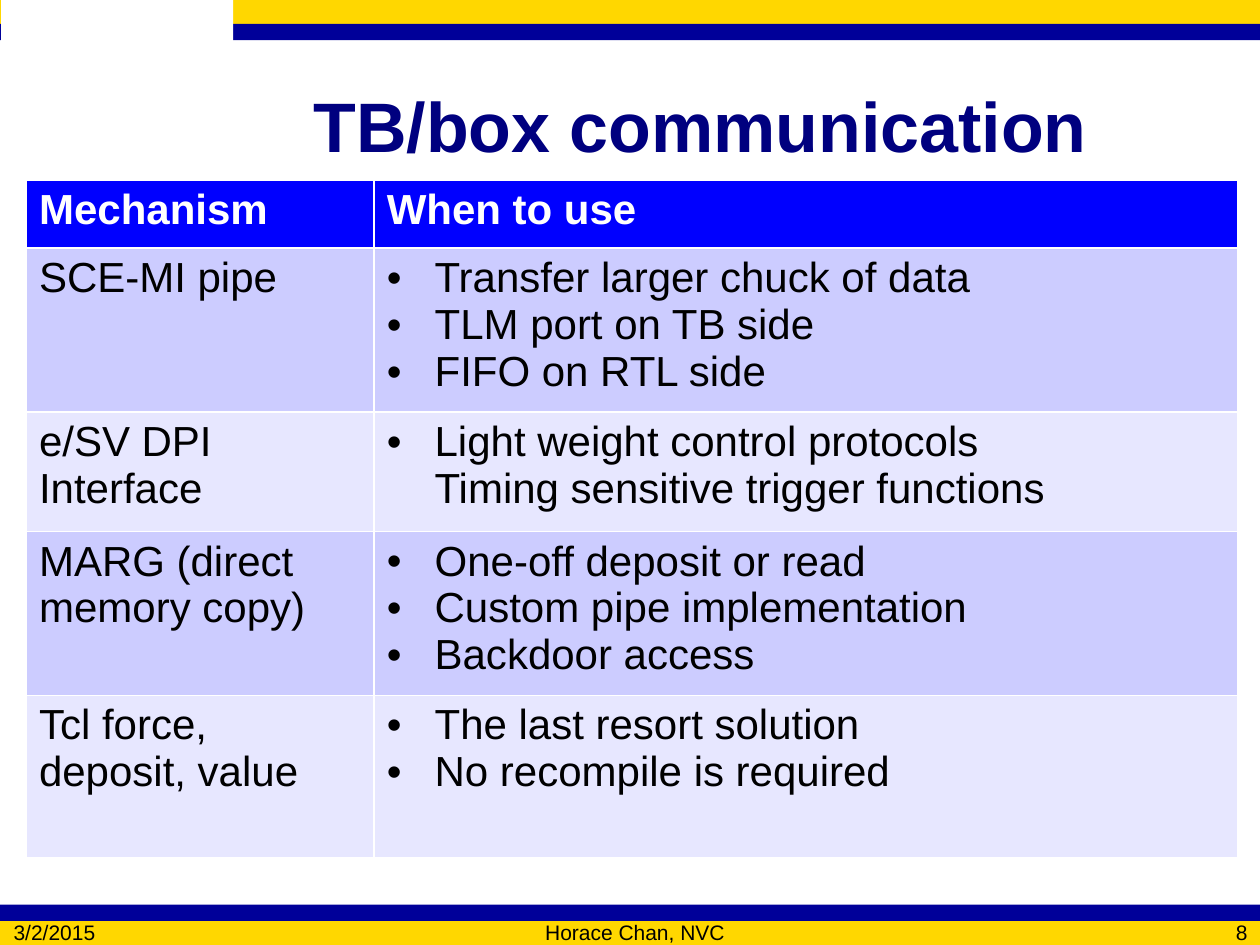
from dataclasses import dataclass
from lxml.etree import SubElement
from pptx import Presentation
from pptx.dml.color import RGBColor
from pptx.enum.shapes import MSO_SHAPE
from pptx.enum.text import MSO_ANCHOR, PP_ALIGN
from pptx.oxml.ns import qn
from pptx.util import Inches, Pt


@dataclass(frozen=True)
class Theme:
    font: str = "Arial"
    gold: str = "FFD700"
    navy: str = "000099"
    white: str = "FFFFFF"
    black: str = "000000"
    title: str = "00007F"
    head: str = "0000FF"
    bands: tuple = ("CCCCFF", "E7E7FF")
    big: int = 40
    body: int = 24
    small: int = 12


LOOK = Theme()
WIDE, HIGH = 10, 7.5
GOLD, NAVY = 0.19, 0.13
COLS = (2.76, 6.85)
ROWS = (0.54, 1.27, 0.95, 1.27, 1.29)
HEADS = ("Mechanism", "When to use")
USES = (
    ("SCE-MI pipe", ("Transfer larger chuck of data", "TLM port on TB side", "FIFO on RTL side")),
    ("e/SV DPI Interface", ("Light weight control protocols\vTiming sensitive trigger functions",)),
    ("MARG (direct memory copy)", ("One-off deposit or read", "Custom pipe implementation", "Backdoor access")),
    ("Tcl force, deposit, value", ("The last resort solution", "No recompile is required")),
)


def color(code):
    return RGBColor.from_string(code)


def write(frame, lines, size=LOOK.body, ink=LOOK.black, bold=False, align=PP_ALIGN.LEFT, dots=False):
    frame.word_wrap = True
    for i, line in enumerate(lines):
        para = frame.add_paragraph() if i else frame.paragraphs[0]
        para.text = line
        para.alignment = align
        for run in para.runs:
            font = run.font
            font.name, font.size, font.bold = LOOK.font, Pt(size), bold
            font.color.rgb = color(ink)
        if dots:
            props = para._p.get_or_add_pPr()
            props.set("marL", str(Inches(0.38)))
            props.set("indent", str(-Inches(0.38)))
            SubElement(props, qn("a:buFont"), typeface=LOOK.font)
            SubElement(props, qn("a:buChar"), char="•")


def band(slide, left, top, width, height, fill):
    box = slide.shapes.add_shape(
        MSO_SHAPE.RECTANGLE, *map(Inches, (left, top, width, height)))
    box.shadow.inherit = False
    box.fill.solid()
    box.fill.fore_color.rgb = color(fill)
    box.line.fill.background()


def label(slide, left, top, width, height, text, inset=0.1, **style):
    box = slide.shapes.add_textbox(*map(Inches, (left, top, width, height)))
    frame = box.text_frame
    frame.margin_left = Inches(inset)
    frame.margin_top = frame.margin_bottom = 0
    frame.vertical_anchor = MSO_ANCHOR.MIDDLE
    write(frame, [text], **style)


def fill_cell(cell, lines, fill, **style):
    cell.fill.solid()
    cell.fill.fore_color.rgb = color(fill)
    write(cell.text_frame, lines, **style)


def grid(slide, left, top):
    size = map(Inches, (left, top, sum(COLS), sum(ROWS)))
    table = slide.shapes.add_table(len(ROWS), len(COLS), *size).table
    for col, width in zip(table.columns, COLS):
        col.width = Inches(width)
    for row, height in zip(table.rows, ROWS):
        row.height = Inches(height)
    for i, head in enumerate(HEADS):
        fill_cell(table.cell(0, i), [head], LOOK.head, ink=LOOK.white, bold=True)
    for i, (name, uses) in enumerate(USES):
        fill = LOOK.bands[i % 2]
        fill_cell(table.cell(i + 1, 0), [name], fill)
        fill_cell(table.cell(i + 1, 1), uses, fill, dots=True)


def main():
    deck = Presentation()
    deck.slide_width, deck.slide_height = Inches(WIDE), Inches(HIGH)
    slide = deck.slides.add_slide(deck.slide_layouts[6])
    foot = HIGH - GOLD
    band(slide, 0, 0, WIDE, GOLD, LOOK.gold)
    band(slide, 0, GOLD, WIDE, NAVY, LOOK.navy)
    band(slide, 0.01, 0, 1.84, 1.08, LOOK.white)
    band(slide, 0, foot, WIDE, GOLD, LOOK.gold)
    band(slide, 0, foot - NAVY, WIDE, NAVY, LOOK.navy)
    label(slide, 1.93, 0.36, 7.9, 1.25, "TB/box communication",
          inset=0.56, size=LOOK.big, ink=LOOK.title, bold=True)
    notes = (
        (0.01, 1.16, "3/2/2015", PP_ALIGN.LEFT),
        (1.25, 7.58, "Horace Chan, NVC", PP_ALIGN.CENTER),
        (9, 1, "8", PP_ALIGN.RIGHT),
    )
    for left, width, text, align in notes:
        label(slide, left, foot, width, 0.17, text, size=LOOK.small, align=align)
    grid(slide, 0.21, 1.43)
    deck.save("out.pptx")


if __name__ == "__main__":
    main()
